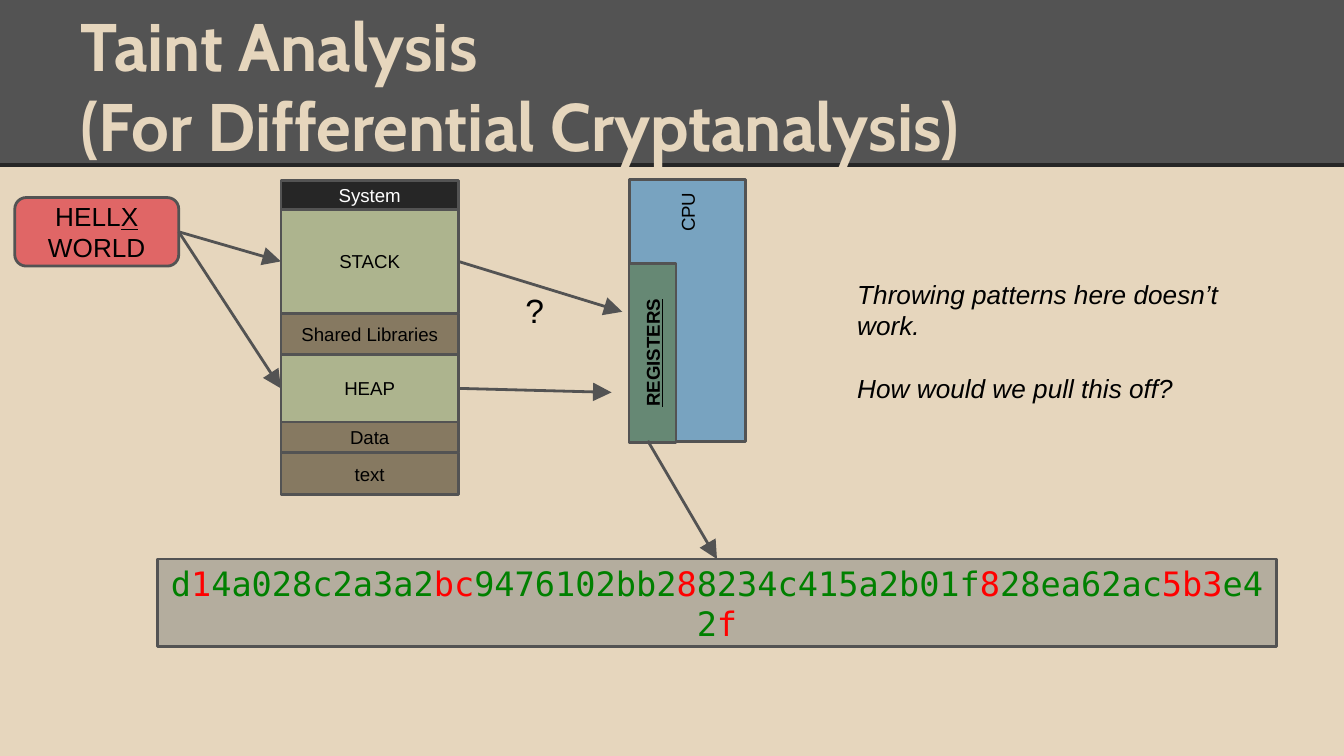
from dataclasses import dataclass
from itertools import cycle
from typing import Optional

from lxml.etree import SubElement
from pptx import Presentation
from pptx.dml.color import RGBColor
from pptx.enum.shapes import MSO_CONNECTOR, MSO_SHAPE
from pptx.enum.text import MSO_ANCHOR, MSO_AUTO_SIZE, PP_ALIGN
from pptx.oxml.ns import qn
from pptx.util import Inches, Pt


@dataclass(frozen=True)
class Theme:
    sand: str = "E6D6BD"
    gray: str = "535353"
    dark: str = "262626"
    black: str = "000000"
    white: str = "FFFFFF"
    olive: str = "ADB48E"
    brown: str = "867961"
    coral: str = "E06666"
    blue: str = "78A3C0"
    teal: str = "668874"
    stone: str = "B4AD9E"
    green: str = "008000"
    red: str = "FF0000"
    sans: str = "Arial"
    mono: str = "DejaVu Sans Mono"
    head: str = "Cabin"
    small: float = 10
    mid: float = 14
    large: float = 18
    huge: float = 36
    edge: float = 1.5
    rule: float = 2.25


T = Theme()


@dataclass(frozen=True)
class Box:
    left: float
    top: float
    width: float
    height: float
    fill: str
    text: str = ""
    color: str = T.black
    size: float = T.small
    align: PP_ALIGN = PP_ALIGN.CENTER
    turn: float = 0
    kind: MSO_SHAPE = MSO_SHAPE.RECTANGLE
    edge: Optional[str] = T.gray


@dataclass(frozen=True)
class Layer:
    name: str
    height: float
    fill: str
    color: str = T.black


def rgb(value: str) -> RGBColor:
    return RGBColor.from_string(value)


def set_font(font, size: float, color: str, name: str = T.sans) -> None:
    font.size, font.name = Pt(size), name
    font.color.rgb = rgb(color)


def set_frame(frame, anchor: MSO_ANCHOR) -> None:
    frame.word_wrap = True
    frame.auto_size = MSO_AUTO_SIZE.NONE
    frame.vertical_anchor = anchor
    frame.margin_left = frame.margin_right = Inches(0.1)
    frame.margin_top = frame.margin_bottom = Inches(0.1)


def place(shape, left: float, top: float, width: float, height: float) -> None:
    shape.left, shape.top = Inches(left), Inches(top)
    shape.width, shape.height = Inches(width), Inches(height)


def add_box(slide, box: Box):
    shape = slide.shapes.add_shape(
        box.kind, Inches(box.left), Inches(box.top),
        Inches(box.width), Inches(box.height))
    shape.shadow.inherit = False
    shape.rotation = box.turn
    shape.fill.solid()
    shape.fill.fore_color.rgb = rgb(box.fill)
    if box.edge:
        shape.line.color.rgb = rgb(box.edge)
        shape.line.width = Pt(T.edge)
    else:
        shape.line.fill.background()
    set_frame(shape.text_frame, MSO_ANCHOR.MIDDLE)
    para = shape.text_frame.paragraphs[0]
    para.alignment = box.align
    if box.text:
        para.text = box.text
        set_font(para.runs[0].font, box.size, box.color)
    return shape


def add_runs(shape, parts: list[str], size: float, colors: list[str], name: str):
    """Fill the first paragraph with runs that take the colours in turn."""
    para = shape.text_frame.paragraphs[0]
    for part, color in zip(parts, cycle(colors)):
        run = para.add_run()
        run.text = part
        set_font(run.font, size, color, name)
    return para.runs


def add_line(slide, start: tuple, end: tuple, color: str = T.gray,
             width: float = T.edge, arrow: bool = True):
    line = slide.shapes.add_connector(
        MSO_CONNECTOR.STRAIGHT, *(Inches(v) for v in (*start, *end)))
    line.line.color.rgb = rgb(color)
    line.line.width = Pt(width)
    if arrow:
        SubElement(line.line._get_or_add_ln(), qn("a:tailEnd"),
                   type="triangle", w="lg", len="lg")
    SubElement(line._element.spPr, qn("a:effectLst"))
    return line


def add_note(slide, at: tuple, text: str, size: float, italic: bool = False):
    note = slide.shapes.add_textbox(*(Inches(v) for v in at))
    set_frame(note.text_frame, MSO_ANCHOR.TOP)
    note.text_frame.text = text
    for para in note.text_frame.paragraphs:
        set_font(para.runs[0].font, size, T.black)
        para.runs[0].font.italic = italic
    return note


def add_header(slide) -> None:
    add_box(slide, Box(0, 0, 10, 1.23, T.gray, edge=None))
    add_line(slide, (0, 1.23), (10, 1.23), T.dark, T.rule, arrow=False)
    title = slide.shapes.title
    slide.shapes._spTree.append(title._element)  # bring in front of the bar
    place(title, 0.5, 0.39, 9, 0.94)
    set_frame(title.text_frame, MSO_ANCHOR.BOTTOM)
    title.text_frame.text = "Taint Analysis \v(For Differential Cryptanalysis)"
    para = title.text_frame.paragraphs[0]
    para.alignment = PP_ALIGN.LEFT
    for run in para.runs:
        set_font(run.font, T.huge, T.sand, T.head)
        run.font.bold = True


def add_memory(slide) -> dict:
    """Stack the memory layers downwards and return them by name."""
    layers = [
        Layer("System", 0.22, T.dark, T.white),
        Layer("STACK", 0.77, T.olive),
        Layer("Shared Libraries", 0.31, T.brown),
        Layer("HEAP", 0.5, T.olive),
        Layer("Data", 0.23, T.brown),
        Layer("text", 0.31, T.brown),
    ]
    top, shapes = 1.34, {}
    for layer in layers:
        shapes[layer.name] = add_box(slide, Box(
            2.09, top, 1.32, layer.height, layer.fill, layer.name, layer.color))
        top += layer.height
    return shapes


def main() -> None:
    deck = Presentation()
    deck.slide_width, deck.slide_height = Inches(10), Inches(10 * 9 / 16)
    slide = deck.slides.add_slide(deck.slide_layouts[5])
    slide.background.fill.solid()
    slide.background.fill.fore_color.rgb = rgb(T.sand)
    add_header(slide)

    add_box(slide, Box(4.14, 1.88, 1.95, 0.86, T.blue, "CPU",
                       align=PP_ALIGN.RIGHT, turn=270))
    regs = add_box(slide, Box(4.19, 2.45, 1.33, 0.35, T.teal, "REGISTERS", turn=270))
    font = regs.text_frame.paragraphs[0].runs[0].font
    font.bold = font.underline = True

    hello = add_box(slide, Box(0.11, 1.47, 1.22, 0.51, T.coral,
                               kind=MSO_SHAPE.ROUNDED_RECTANGLE))
    runs = add_runs(hello, ["HELL", "X", " WORLD"], T.mid, [T.black], T.sans)
    runs[1].font.underline = True

    memory = add_memory(slide)
    digest = add_box(slide, Box(1.17, 4.16, 8.33, 0.65, T.stone))
    parts = ["d", "1", "4a028c2a3a2", "bc", "9476102bb2", "8",
             "8234c415a2b01f", "8", "28ea62ac", "5b3", "e42", "f"]
    add_runs(digest, parts, T.large, [T.green, T.red], T.mono)

    for name, mid, tip in (("STACK", 1.95, (4.63, 2.32)),
                           ("HEAP", 2.9, (4.55, 2.92))):
        inlet = add_line(slide, (1.33, 1.72), (2.09, mid))
        inlet.begin_connect(hello, 3)
        inlet.end_connect(memory[name], 1)
        add_line(slide, (3.41, mid), tip).begin_connect(memory[name], 3)
    add_line(slide, (4.82, 3.28), (5.33, 4.16)).end_connect(digest, 0)

    add_note(slide, (3.81, 2.06, 1.22, 1.59), "?", T.large)
    note = add_note(slide, (6.28, 1.97, 3.35, 1.39),
                    "Throwing patterns here doesn’t work.\nHow would we pull this off?",
                    T.mid, italic=True)
    note.text_frame.paragraphs[1].space_before = Pt(17)
    deck.save("out.pptx")


if __name__ == "__main__":
    main()
